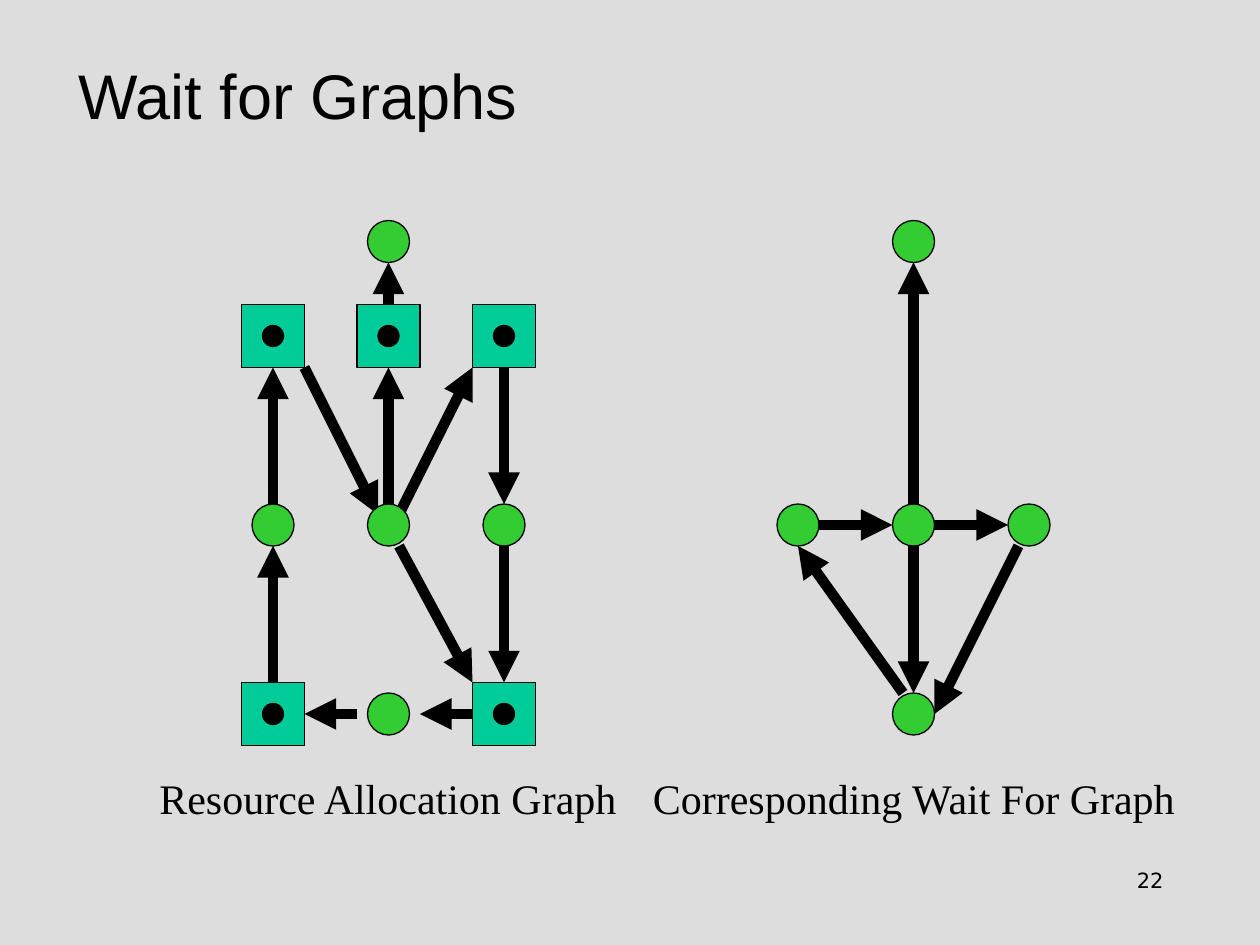
from dataclasses import dataclass

from lxml import etree
from pptx import Presentation
from pptx import util as u
from pptx.dml.color import RGBColor
from pptx.enum import shapes, text
from pptx.oxml.ns import qn


@dataclass(frozen=True)
class Theme:
    background: str = "DDDDDD"
    ink: str = "000000"
    process: str = "33CC33"
    resource: str = "00CC99"
    title_font: str = "Arial"
    caption_font: str = "Times New Roman"
    number_font: str = "DejaVu Sans"
    title_size: int = 36
    caption_size: int = 24
    number_size: int = 12
    outline: float = 0.75
    arrow: float = 6


THEME = Theme()
CELL = 1 / 12  # inches per grid unit; all lengths below are in grid units
PROCESS_RADIUS, RESOURCE_RADIUS, INSTANCE_RADIUS = 2, 3, 1

# Node centres inside a graph box
LEFT, MIDDLE, RIGHT = 3, 14, 25
TOP, UPPER, CENTER, LOWER = 2, 11, 29, 47

TOP_PROCESS, BOTTOM_PROCESS = (MIDDLE, TOP), (MIDDLE, LOWER)
LEFT_PROCESS, MIDDLE_PROCESS, RIGHT_PROCESS = [(x, CENTER) for x in (LEFT, MIDDLE, RIGHT)]
PROCESSES = [TOP_PROCESS, LEFT_PROCESS, MIDDLE_PROCESS, RIGHT_PROCESS, BOTTOM_PROCESS]
UPPER_LEFT, UPPER_MIDDLE, UPPER_RIGHT = [(x, UPPER) for x in (LEFT, MIDDLE, RIGHT)]
LOWER_LEFT, LOWER_RIGHT = (LEFT, LOWER), (RIGHT, LOWER)
RESOURCES = [UPPER_LEFT, UPPER_MIDDLE, UPPER_RIGHT, LOWER_LEFT, LOWER_RIGHT]

# Each edge: start node, offset from its centre, end node, offset from its centre
ALLOCATION_EDGES = [
    (UPPER_MIDDLE, (0, -3), TOP_PROCESS, (0, 2)),
    (MIDDLE_PROCESS, (0, -2), UPPER_MIDDLE, (0, 3)),
    (MIDDLE_PROCESS, (1, -1), UPPER_RIGHT, (-3, 3)),
    (UPPER_LEFT, (3, 3), MIDDLE_PROCESS, (-1, -1)),
    (MIDDLE_PROCESS, (1, 2), LOWER_RIGHT, (-3, -3)),
    (UPPER_RIGHT, (0, 3), RIGHT_PROCESS, (0, -2)),
    (RIGHT_PROCESS, (0, 2), LOWER_RIGHT, (0, -3)),
    (LOWER_RIGHT, (-3, 0), BOTTOM_PROCESS, (3, 0)),
    (BOTTOM_PROCESS, (-3, 0), LOWER_LEFT, (3, 0)),
    (LOWER_LEFT, (0, -3), LEFT_PROCESS, (0, 2)),
    (LEFT_PROCESS, (0, -2), UPPER_LEFT, (0, 3)),
]
WAIT_EDGES = [
    (MIDDLE_PROCESS, (0, -2), TOP_PROCESS, (0, 2)),
    (LEFT_PROCESS, (2, 0), MIDDLE_PROCESS, (-2, 0)),
    (MIDDLE_PROCESS, (2, 0), RIGHT_PROCESS, (-2, 0)),
    (MIDDLE_PROCESS, (0, 2), BOTTOM_PROCESS, (0, -2)),
    (BOTTOM_PROCESS, (-1, -2), LEFT_PROCESS, (0, 2)),
    (RIGHT_PROCESS, (-1, 2), BOTTOM_PROCESS, (2, 0)),
]


def grid(*units):
    return [u.Inches(unit * CELL) for unit in units]


def color(value):
    return RGBColor.from_string(value)


def write(shape, words, *, font, size, align=text.PP_ALIGN.LEFT,
          anchor=text.MSO_ANCHOR.TOP, wrap=True):
    frame = shape.text_frame
    frame.text = words
    frame.word_wrap = wrap
    frame.auto_size = text.MSO_AUTO_SIZE.NONE
    frame.vertical_anchor = anchor
    paragraph = frame.paragraphs[0]
    paragraph.alignment = align
    style = paragraph.runs[0].font
    style.name, style.size = font, u.Pt(size)
    style.color.rgb = color(THEME.ink)
    return frame


def add_node(slide, kind, center, radius, fill):
    x, y = center
    shape = slide.shapes.add_shape(
        kind, *grid(x - radius, y - radius, 2 * radius, 2 * radius))
    shape.shadow.inherit = False
    shape.fill.solid()
    shape.fill.fore_color.rgb = color(fill)
    shape.line.color.rgb = color(THEME.ink)
    shape.line.width = u.Pt(THEME.outline)


def add_arrow(slide, start, end):
    connector = slide.shapes.add_connector(
        shapes.MSO_CONNECTOR.STRAIGHT, *grid(*start, *end))
    connector.line.color.rgb = color(THEME.ink)
    connector.line.width = u.Pt(THEME.arrow)
    etree.SubElement(connector.line._get_or_add_ln(), qn("a:tailEnd"), type="triangle")
    etree.SubElement(connector._element.spPr, qn("a:effectLst"))


def add_graph(slide, box, edges, resources=()):
    """Draw the processes, any resources and the edges from the box's corner."""
    def place(point, offset=(0, 0)):
        return tuple(map(sum, zip(box, point, offset)))

    for start, start_offset, end, end_offset in edges:
        add_arrow(slide, place(start, start_offset), place(end, end_offset))
    for point in resources:
        add_node(slide, shapes.MSO_SHAPE.RECTANGLE, place(point),
                 RESOURCE_RADIUS, THEME.resource)
        add_node(slide, shapes.MSO_SHAPE.OVAL, place(point),
                 INSTANCE_RADIUS, THEME.ink)
    for point in PROCESSES:
        add_node(slide, shapes.MSO_SHAPE.OVAL, place(point),
                 PROCESS_RADIUS, THEME.process)


def add_title(slide, box, words):
    title = slide.shapes.title
    title.left, title.top, title.width, title.height = grid(*box)
    frame = write(title, words, font=THEME.title_font, size=THEME.title_size,
                  anchor=text.MSO_ANCHOR.MIDDLE)
    frame.margin_left = frame.margin_right = 0
    frame.margin_top = frame.margin_bottom = 0


def add_caption(slide, box, words):
    write(slide.shapes.add_textbox(*grid(*box)), words, wrap=False,
          font=THEME.caption_font, size=THEME.caption_size)


def add_page_number(slide, box, number):
    write(slide.shapes.add_textbox(*grid(*box)), number, align=text.PP_ALIGN.RIGHT,
          font=THEME.number_font, size=THEME.number_size)


def main():
    presentation = Presentation()
    presentation.slide_width, presentation.slide_height = grid(120, 90)
    slide = presentation.slides.add_slide(presentation.slide_layouts[5])
    slide.background.fill.solid()
    slide.background.fill.fore_color.rgb = color(THEME.background)

    add_title(slide, (7.5, 3, 105, 12), "Wait for Graphs")
    add_graph(slide, (23, 21), ALLOCATION_EDGES, RESOURCES)
    add_graph(slide, (73, 21), WAIT_EDGES)
    add_caption(slide, (14, 73, 46, 6), "Resource Allocation Graph")
    add_caption(slide, (61, 73, 52.5, 6), "Corresponding Wait For Graph")
    add_page_number(slide, (86, 82, 26, 4), "22")
    presentation.save("out.pptx")


if __name__ == "__main__":
    main()
